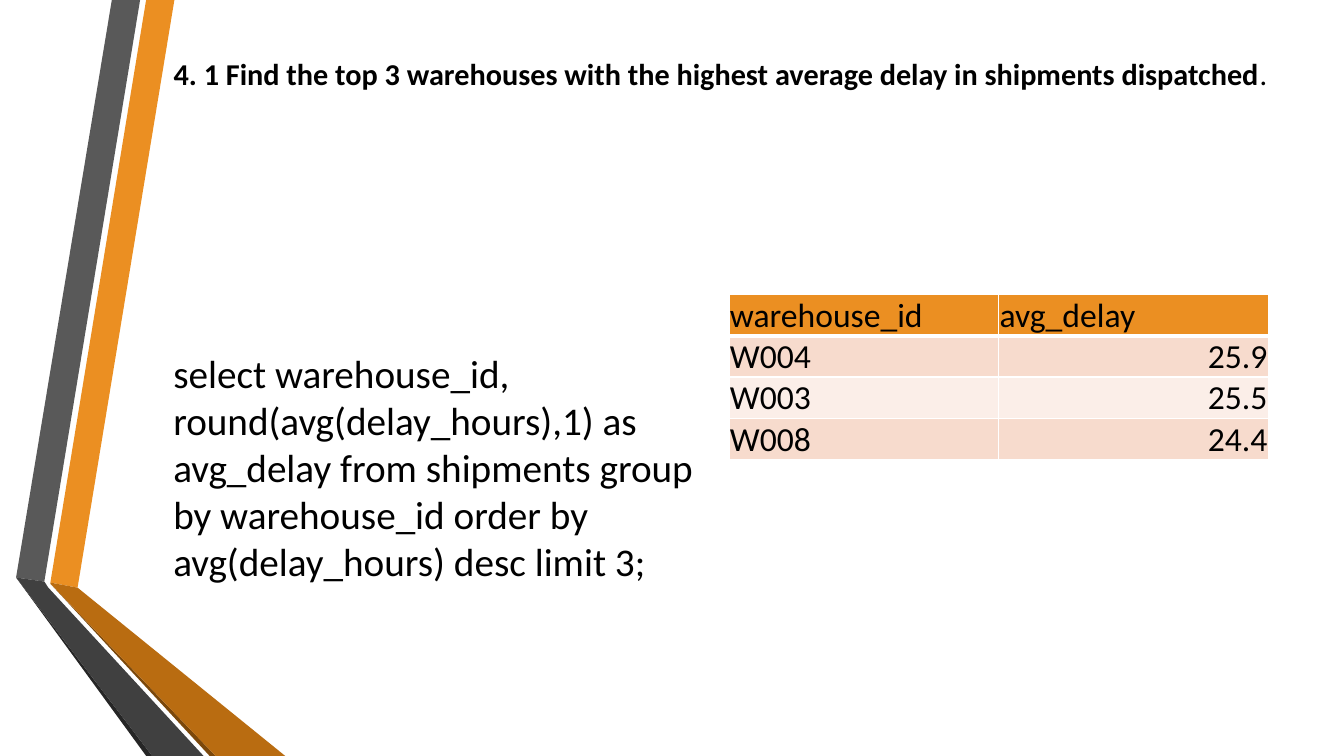
import pptx
import pptx.util
import pptx.dml.color
import pptx.enum.text
import pptx.oxml
import pptx.oxml.ns
from dataclasses import dataclass

# Content
QUESTION = "4. 1 Find the top 3 warehouses with the highest average delay in shipments dispatched"
QUERY = ("select warehouse_id, round(avg(delay_hours),1) as avg_delay from shipments "
         "group by warehouse_id order by avg(delay_hours) desc limit 3;")
DELAYS = [("warehouse_id", "avg_delay"), ("W004", "25.9"), ("W003", "25.5"), ("W008", "24.4")]


@dataclass(frozen=True)
class Theme:
    font: str = "Calibri"
    ink: str = "000000"
    rule: str = "FFFFFF"
    orange: str = "EB8F22"
    orange_dark: str = "B96C11"
    orange_edge: str = "7B480B"
    grey: str = "595959"
    grey_dark: str = "404040"
    grey_edge: str = "262626"
    bands: tuple = ("F7DBCD", "FBEEE8")
    title_size: float = 21.6
    query_size: float = 28
    table_size: float = 24


THEME = Theme()

# Folded ribbons: outline corners in hundredths of an inch
RIBBONS = [
    (THEME.orange, [(50, 578), (77, 583), (173, 0), (145, 0)]),
    (THEME.grey, [(139, 0), (111, 0), (16, 573), (44, 577)]),
    (THEME.grey_edge, [(16, 573), (145, 750), (151, 750)]),
    (THEME.orange_edge, [(50, 579), (208, 750), (214, 750)]),
    (THEME.orange_dark, [(50, 579), (214, 750), (283, 750), (77, 583), (50, 578)]),
    (THEME.grey_dark, [(202, 750), (48, 583), (44, 577), (16, 573), (151, 750)]),
]

# Two equal columns under the title
Inches, Pt = pptx.util.Inches, pptx.util.Pt
COLUMN_LEFT, COLUMN_TOP, COLUMN_WIDTH, GAP = 1.62, 2.92, 5.35, 0.26
QUERY_HEIGHT, ROW_HEIGHT = 3.42, 0.41
TABLE_LEFT = COLUMN_LEFT + COLUMN_WIDTH + GAP


def color(code):
    return pptx.dml.color.RGBColor.from_string(code)


def set_font(paragraph, size):
    font = paragraph.font
    font.name, font.size = THEME.font, Pt(size)
    font.color.rgb = color(THEME.ink)


def set_border(cell, side, points):
    line = pptx.oxml.parse_xml(
        f'<a:{side} {pptx.oxml.ns.nsdecls("a")} w="{int(Pt(points))}"><a:solidFill>'
        f'<a:srgbClr val="{THEME.rule}"/></a:solidFill></a:{side}>')
    cell._tc.get_or_add_tcPr().append(line)


def draw_ribbons(slide):
    for fill, corners in RIBBONS:
        builder = slide.shapes.build_freeform(*corners[0], scale=Inches(0.01))
        builder.add_line_segments(corners[1:], close=True)
        ribbon = builder.convert_to_shape()
        ribbon.shadow.inherit = False
        ribbon.fill.solid()
        ribbon.fill.fore_color.rgb = color(fill)
        ribbon.line.fill.background()


def write_question(slide):
    title = slide.shapes.title
    title.left, title.top = Inches(1.09), Inches(0.29)
    title.width, title.height = Inches(12.11), Inches(0.87)
    frame = title.text_frame
    frame.auto_size = pptx.enum.text.MSO_AUTO_SIZE.NONE
    frame.vertical_anchor = pptx.enum.text.MSO_ANCHOR.MIDDLE
    paragraph = frame.paragraphs[0]
    paragraph.alignment = pptx.enum.text.PP_ALIGN.CENTER
    set_font(paragraph, THEME.title_size)
    for text, bold in ((QUESTION, True), (".", False)):
        run = paragraph.add_run()
        run.text, run.font.bold = text, bold


def write_query(slide):
    box = slide.shapes.add_textbox(Inches(COLUMN_LEFT), Inches(COLUMN_TOP),
                                   Inches(COLUMN_WIDTH), Inches(QUERY_HEIGHT))
    frame = box.text_frame
    frame.word_wrap = True
    frame.vertical_anchor = pptx.enum.text.MSO_ANCHOR.MIDDLE
    paragraph = frame.paragraphs[0]
    paragraph.text = QUERY
    paragraph.space_after = Pt(6)
    set_font(paragraph, THEME.query_size)


def add_delays(slide):
    table = slide.shapes.add_table(
        len(DELAYS), len(DELAYS[0]), Inches(TABLE_LEFT), Inches(COLUMN_TOP),
        Inches(COLUMN_WIDTH), Inches(ROW_HEIGHT * len(DELAYS))).table
    for r, record in enumerate(DELAYS):
        for c, value in enumerate(record):
            cell = table.cell(r, c)
            cell.margin_left = cell.margin_right = cell.margin_top = Inches(0.01)
            cell.margin_bottom = 0
            cell.vertical_anchor = pptx.enum.text.MSO_ANCHOR.BOTTOM
            # Borders come before the fill; the header's lower rule is heavier
            for side in ("lnL", "lnR", "lnT", "lnB"):
                heavy = (r, side) in ((0, "lnB"), (1, "lnT"))
                set_border(cell, side, 3 if heavy else 1)
            cell.fill.solid()
            cell.fill.fore_color.rgb = color(THEME.bands[(r - 1) % 2] if r else THEME.orange)
            paragraph = cell.text_frame.paragraphs[0]
            paragraph.text = value
            if r and c:
                paragraph.alignment = pptx.enum.text.PP_ALIGN.RIGHT
            set_font(paragraph, THEME.table_size)
            paragraph.font.bold = False


def main():
    deck = pptx.Presentation()
    deck.slide_width, deck.slide_height = Inches(13.33), Inches(7.5)
    slide = deck.slides.add_slide(deck.slide_layouts.get_by_name("Title Only"))
    draw_ribbons(slide)
    write_question(slide)
    write_query(slide)
    add_delays(slide)
    deck.save("out.pptx")


if __name__ == "__main__":
    main()
